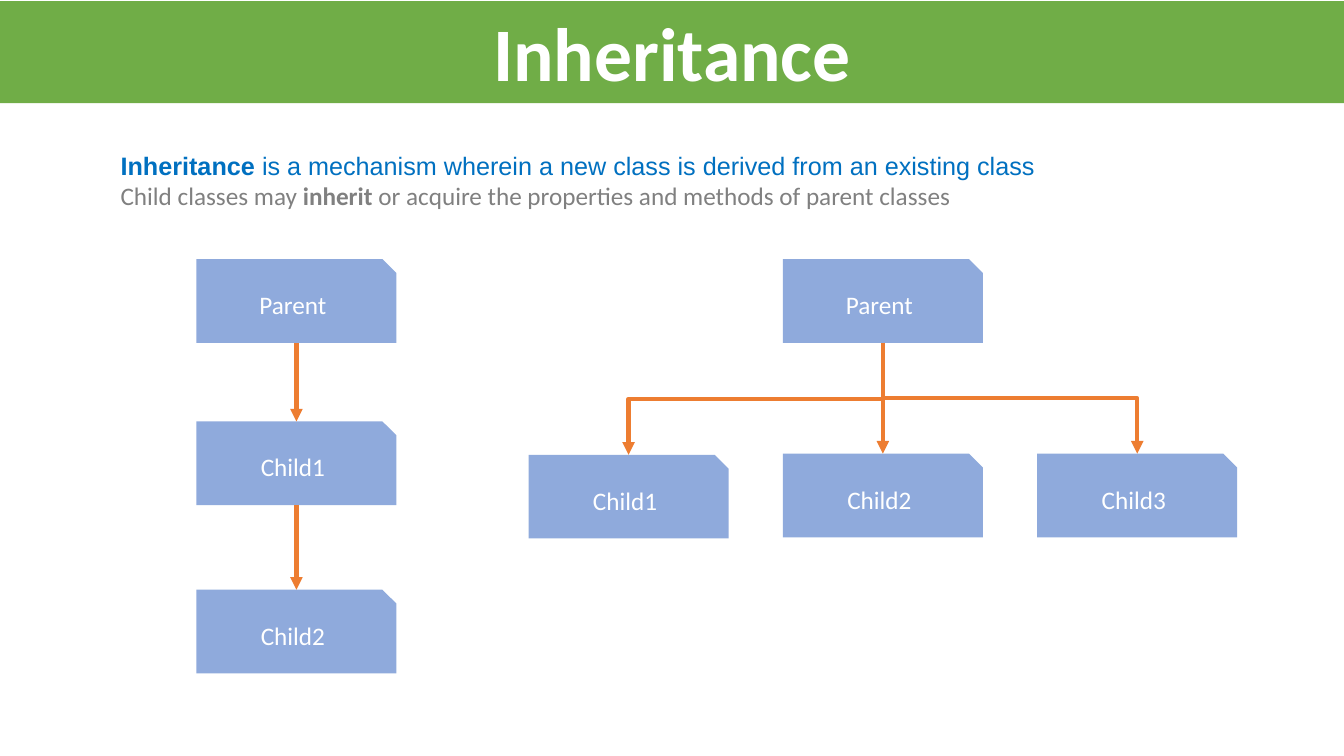
"""Build the slide that explains class inheritance with two class trees."""
import pptx
import pptx.dml.color
import pptx.enum.shapes
import pptx.enum.text
import pptx.oxml
import pptx.oxml.ns
import pptx.util

Cm = pptx.util.Cm
Pt = pptx.util.Pt
RGBColor = pptx.dml.color.RGBColor
MSO_SHAPE = pptx.enum.shapes.MSO_SHAPE
MSO_CONNECTOR = pptx.enum.shapes.MSO_CONNECTOR
MSO_ANCHOR = pptx.enum.text.MSO_ANCHOR
PP_ALIGN = pptx.enum.text.PP_ALIGN
qn = pptx.oxml.ns.qn

GREEN = RGBColor(0x70, 0xAD, 0x47)
PALE_BLUE = RGBColor(0x8F, 0xAA, 0xDC)
ORANGE = RGBColor(0xED, 0x7D, 0x31)
BLUE = RGBColor(0x00, 0x70, 0xC0)
GREY = RGBColor(0x80, 0x80, 0x80)
WHITE = RGBColor(0xFF, 0xFF, 0xFF)

SLIDE_W, SLIDE_H = Cm(33.87), Cm(19.05)
BOX_W, BOX_H = Cm(5.04), Cm(2.11)
PARENT_TOP = Cm(6.53)


class InheritanceSlide:
    font = "Calibri"
    size = Pt(18)

    def __init__(self, prs):
        self.slide = prs.slides.add_slide(prs.slide_layouts[5])
        self.shapes = self.slide.shapes

    def style(self, p, color, size=None, font=None, bold=None):
        p.font.name = font or self.font
        p.font.size = size or self.size
        p.font.color.rgb = color
        p.font.bold = bold

    def title(self, text):
        sp = self.shapes.title
        sp.left, sp.top, sp.width, sp.height = Cm(0), Cm(0.03), SLIDE_W, Cm(2.57)
        sp.fill.solid()
        sp.fill.fore_color.rgb = GREEN
        tf = sp.text_frame
        tf.text = text
        tf.vertical_anchor = MSO_ANCHOR.TOP
        p = tf.paragraphs[0]
        p.alignment = PP_ALIGN.CENTER
        self.style(p, WHITE, size=Pt(54), bold=True)

    def text(self, left, top, width, height, lines):
        tf = self.shapes.add_textbox(left, top, width, height).text_frame
        tf.word_wrap = True
        for i, (font, color, runs) in enumerate(lines):
            p = tf.add_paragraph() if i else tf.paragraphs[0]
            self.style(p, color, font=font)
            for words, bold in runs:
                r = p.add_run()
                r.text = words
                r.font.bold = bold

    def box(self, text, left, top):
        sp = self.shapes.add_shape(MSO_SHAPE.SNIP_1_RECTANGLE, left, top, BOX_W, BOX_H)
        sp.shadow.inherit = False
        sp.fill.solid()
        sp.fill.fore_color.rgb = PALE_BLUE
        sp.line.fill.background()
        tf = sp.text_frame
        tf.text = text
        tf.vertical_anchor = MSO_ANCHOR.MIDDLE
        p = tf.paragraphs[0]
        p.alignment = PP_ALIGN.CENTER
        self.style(p, WHITE)
        return sp

    def arrow(self, parent, child):
        x1, y1 = parent.left + BOX_W // 2, parent.top + BOX_H
        x2, y2 = child.left + BOX_W // 2, child.top
        if x1 == x2:
            cxn = self.shapes.add_connector(MSO_CONNECTOR.STRAIGHT, x1, y1, x2, y2)
        else:
            side = 1 if x2 > x1 else -1
            mid_x, mid_y = (x1 + x2) // 2, (y1 + y2) // 2
            dx, dy = abs(x2 - x1) // 2, side * (y2 - y1) // 2
            cxn = self.shapes.add_connector(
                MSO_CONNECTOR.ELBOW, mid_x + dy, mid_y - dx, mid_x - dy, mid_y + dx)
            xfrm = cxn._element.spPr.find(qn("a:xfrm"))
            xfrm.set("rot", "16200000" if side > 0 else "5400000")
        cxn.line.color.rgb = ORANGE
        cxn.line.width = Pt(3)
        tail = pptx.oxml.parse_xml(
            '<a:tailEnd xmlns:a="http://schemas.openxmlformats.org/drawingml/2006/main" type="triangle"/>')
        cxn.line._get_or_add_ln().append(tail)
        spPr = cxn._element.spPr
        spPr.append(spPr.makeelement(qn("a:effectLst"), {}))


def main():
    prs = pptx.Presentation()
    prs.slide_width, prs.slide_height = SLIDE_W, SLIDE_H
    s = InheritanceSlide(prs)
    s.title("Inheritance")
    s.text(Cm(2.79), Cm(3.66), Cm(24.36), Cm(1.8), [
        ("Arial", BLUE, [
            ("Inheritance", True),
            (" is a mechanism wherein a new class is derived from an existing class", False)]),
        ("Calibri", GREY, [
            ("Child classes may ", False),
            ("inherit", True),
            (" or acquire the properties and methods of parent classes", False)]),
    ])

    chain_left = Cm(4.95)
    parent = s.box("Parent", chain_left, PARENT_TOP)
    for name, top in (("Child1", Cm(10.62)), ("Child2", Cm(14.86))):
        child = s.box(name, chain_left, top)
        s.arrow(parent, child)
        parent = child

    tree_left, step = Cm(19.73), Cm(6.41)
    parent = s.box("Parent", tree_left, PARENT_TOP)
    tops = (Cm(11.46), Cm(11.43), Cm(11.43))
    for i, top in enumerate(tops):
        child = s.box(f"Child{i + 1}", tree_left + (i - 1) * step, top)
        s.arrow(parent, child)

    prs.save("out.pptx")


if __name__ == "__main__":
    main()
